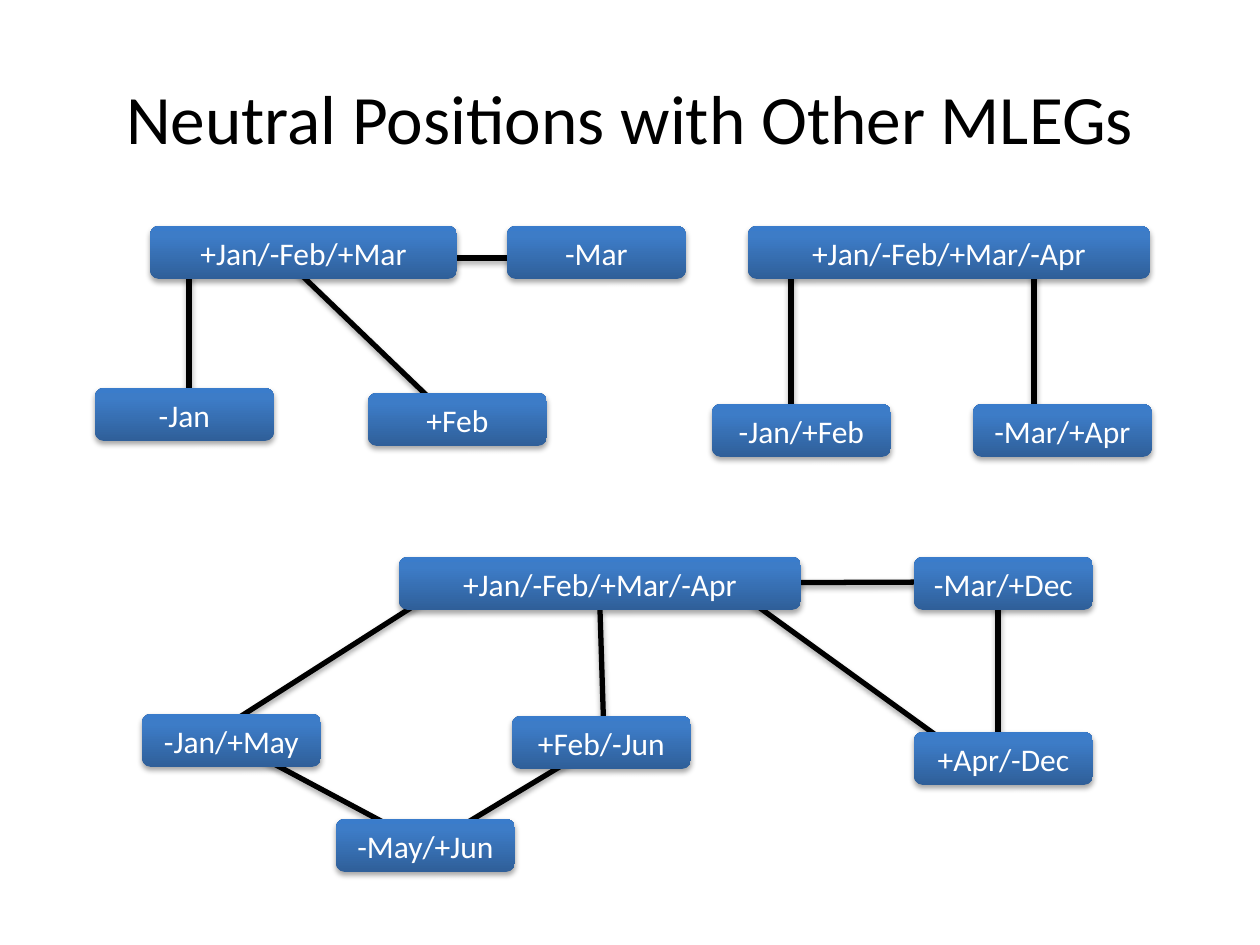
from copy import deepcopy

from lxml import etree
from pptx import Presentation
from pptx.dml.color import RGBColor
from pptx.enum.shapes import MSO_CONNECTOR, MSO_SHAPE
from pptx.enum.text import MSO_ANCHOR, PP_ALIGN
from pptx.oxml.ns import qn
from pptx.util import Emu, Pt

STRAIGHT = MSO_CONNECTOR.STRAIGHT
ROUNDED = MSO_SHAPE.ROUNDED_RECTANGLE
MIDDLE = MSO_ANCHOR.MIDDLE
CENTER = PP_ALIGN.CENTER

BLACK = RGBColor(0x00, 0x00, 0x00)
WHITE = RGBColor(0xFF, 0xFF, 0xFF)
GRADIENT = [
    (0, RGBColor(0x2F, 0x5F, 0x99)),
    (0.8, RGBColor(0x3D, 0x7C, 0xC7)),
    (1, RGBColor(0x3A, 0x7C, 0xCB)),
]
FONT = "Calibri"
EMU_PER_PX = 914400 / 126
BOTTOM = 2

TITLE = "Neutral Positions with Other MLEGs"
TITLE_AREA = (63, 38, 1134, 158)

LEG, BUTTERFLY, CONDOR = 179, 307, 402
BOX_HEIGHT = 53
BOXES = [
    ("-Mar", 507, 226, LEG),
    ("+Jan/-Feb/+Mar", 150, 226, BUTTERFLY),
    ("+Feb", 368, 393, LEG),
    ("-Jan/+Feb", 712, 404, LEG),
    ("+Jan/-Feb/+Mar/-Apr", 748, 226, CONDOR),
    ("-Mar/+Apr", 973, 404, LEG),
    ("-Jan", 95, 388, LEG),
    ("-Jan/+May", 142, 714, LEG),
    ("+Jan/-Feb/+Mar/-Apr", 399, 557, CONDOR),
    ("-Mar/+Dec", 914, 557, LEG),
    ("+Apr/-Dec", 914, 732, LEG),
    ("-May/+Jun", 336, 819, LEG),
    ("+Feb/-Jun", 512, 716, LEG),
]
LOWER_CONDOR = 8

LINKS = [
    (231, 741, 426, 845),
    (601, 742, 430, 845),
    (604, 736, 601, 610),
    (950, 582, 685, 583),
    (998, 586, 998, 759),
    (735, 590, 973, 762),
    (189, 252, 189, 412),
    (292, 266, 444, 412),
    (312, 258, 547, 258),
    (1034, 431, 1034, 252),
    (791, 436, 791, 257),
    (210, 736, 442, 588),
]
CONDOR_LINK = 2


def px(*lengths):
    return [Emu(round(length * EMU_PER_PX)) for length in lengths]


def add_shadow(shape):
    properties = shape._element.spPr
    effects = etree.SubElement(properties, qn("a:effectLst"))
    shadow = etree.SubElement(
        effects, qn("a:outerShdw"), blurRad="40000", dist="23000",
        dir="5400000", rotWithShape="0")
    color = etree.SubElement(shadow, qn("a:srgbClr"), val=str(BLACK))
    etree.SubElement(color, qn("a:alpha"), val="35000")


def set_text(shape, text, size, color):
    frame = shape.text_frame
    frame.text = text
    frame.word_wrap = True
    frame.vertical_anchor = MIDDLE
    paragraph = frame.paragraphs[0]
    paragraph.alignment = CENTER
    font = paragraph.runs[0].font
    font.name = FONT
    font.size = Pt(size)
    font.color.rgb = color


def fill_gradient(shape):
    fill = shape.fill
    fill.gradient()
    fill.gradient_angle = 90
    stop_list = shape._element.spPr.find(".//" + qn("a:gsLst"))
    stop_list.append(deepcopy(stop_list[-1]))
    for stop, (position, color) in zip(fill.gradient_stops, GRADIENT):
        stop.position = position
        stop.color.rgb = color


def add_link(slide, points):
    connector = slide.shapes.add_connector(STRAIGHT, *px(*points))
    connector.line.color.rgb = BLACK
    connector.line.width = Pt(3)
    add_shadow(connector)
    return connector


def add_box(slide, text, left, top, width):
    shape = slide.shapes.add_shape(ROUNDED, *px(left, top, width, BOX_HEIGHT))
    fill_gradient(shape)
    shape.line.fill.background()
    add_shadow(shape)
    set_text(shape, text, 18, WHITE)
    return shape


def main():
    presentation = Presentation()
    presentation.slide_width, presentation.slide_height = px(1260, 945)
    slide = presentation.slides.add_slide(presentation.slide_layouts[6])

    links = [add_link(slide, points) for points in LINKS]
    title = slide.shapes.add_textbox(*px(*TITLE_AREA))
    set_text(title, TITLE, 39.6, BLACK)
    boxes = [add_box(slide, *box) for box in BOXES]
    links[CONDOR_LINK].end_connect(boxes[LOWER_CONDOR], BOTTOM)

    presentation.save("out.pptx")


if __name__ == "__main__":
    main()
